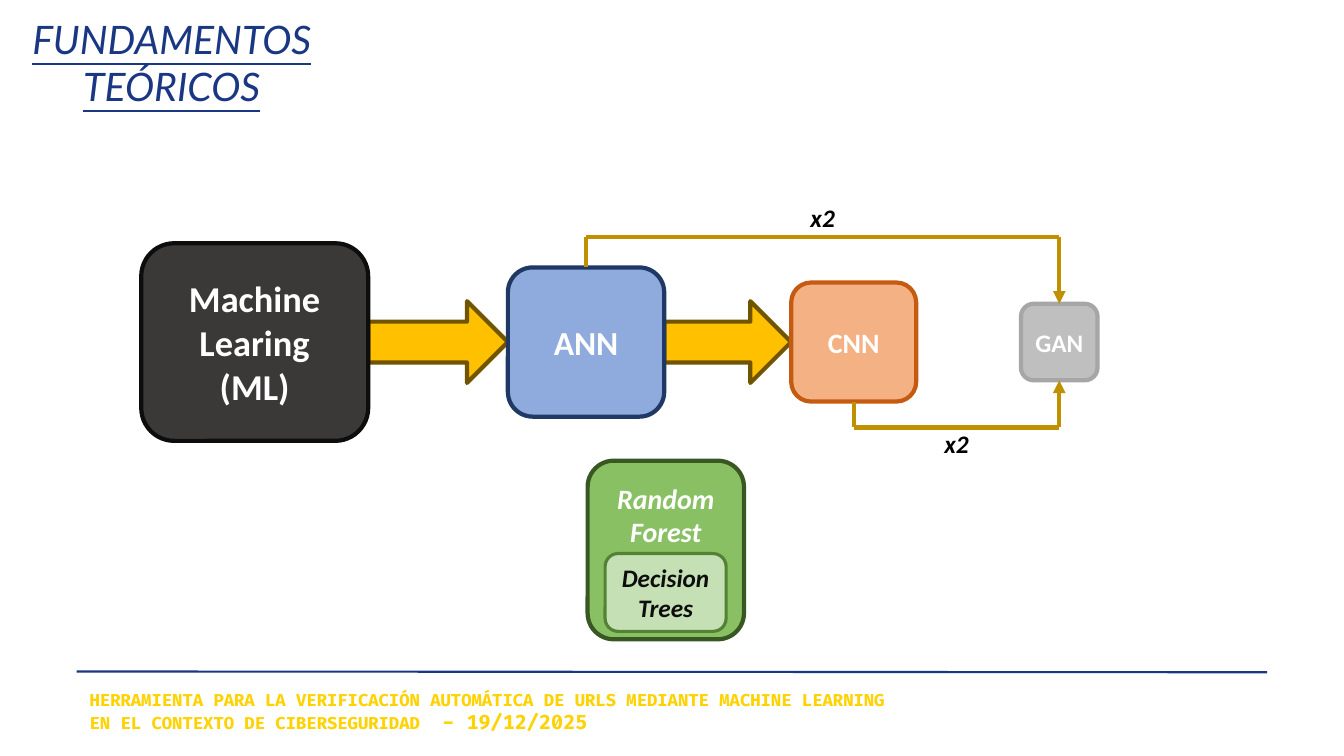
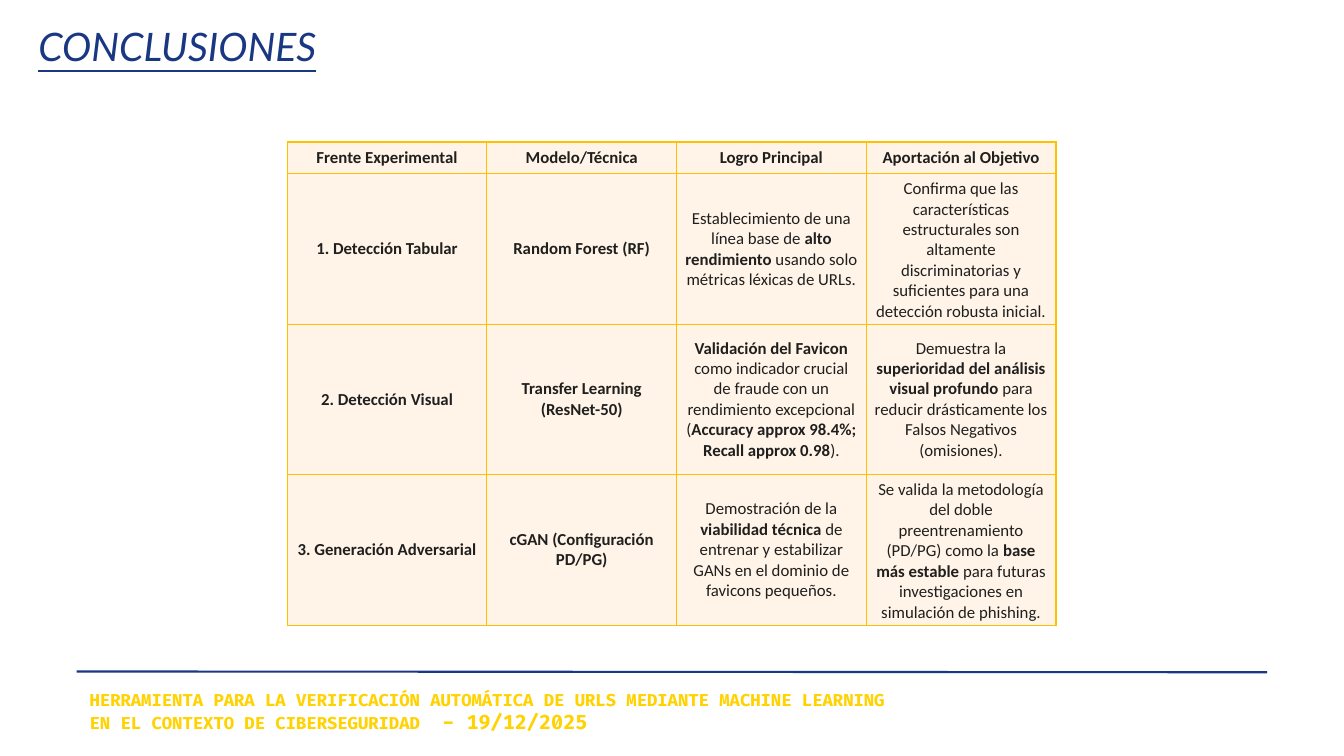
"""Build the theory diagram and the conclusions table."""
from dataclasses import dataclass

from pptx import Presentation
from pptx import util as u
from pptx.dml.color import RGBColor
from pptx.enum import shapes, text
from pptx.oxml import parse_xml
from pptx.oxml.ns import nsdecls


@dataclass(frozen=True)
class Theme:
    """Colours, fonts and type sizes shared by the slides."""
    navy: str = "193782"
    footer: str = "FFD200"
    gold: str = "FFC000"
    arrow_edge: str = "705400"
    loop: str = "BF9000"
    cell: str = "FFF4E7"
    ink: str = "1F1F1F"
    black: str = "000000"
    dark: str = "0D0D0D"
    white: str = "FFFFFF"
    title_font: str = "Lato"
    footer_font: str = "Fira Code"
    body_font: str = "Calibri"
    title_size: int = 28
    large_size: int = 26
    block_size: int = 24
    medium_size: int = 20
    label_size: int = 18
    date_size: int = 14
    small_size: int = 12
    heavy: float = 3
    medium: float = 2.25
    rule: float = 1.5


THEME = Theme()
TOP, BOTTOM = 0, 2

CONCLUSIONS = [
    ["*Frente Experimental*", "*Modelo/Técnica*", "*Logro Principal*", "*Aportación al Objetivo*"],
    ["*1. Detección Tabular*", "*Random Forest (RF)*",
     "Establecimiento de una línea base de *alto rendimiento* usando solo métricas léxicas de URLs.",
     "Confirma que las características estructurales son altamente discriminatorias y suficientes "
     "para una detección robusta inicial."],
    ["*2. Detección Visual*", "*Transfer Learning (ResNet-50)*",
     "*Validación del Favicon* como indicador crucial de fraude con un rendimiento excepcional "
     "(*Accuracy approx 98.4%; Recall approx 0.98*).",
     "Demuestra la *superioridad del análisis visual profundo* para reducir drásticamente los "
     "Falsos Negativos (omisiones)."],
    ["*3. Generación Adversarial*", "*cGAN (Configuración PD/PG)*",
     "Demostración de la *viabilidad técnica* de entrenar y estabilizar GANs en el dominio de "
     "favicons pequeños.",
     "Se valida la metodología del doble preentrenamiento (PD/PG) como la *base más estable* para "
     "futuras investigaciones en simulación de phishing."],
]


def rgb(color):
    """Turn a hex string into a colour."""
    return RGBColor.from_string(color)


def add_run(paragraph, words, size, color, font=THEME.body_font, bold=False, italic=False,
            underline=False):
    """Add one formatted run."""
    run = paragraph.add_run()
    run.text = words
    run.font.size, run.font.name = u.Pt(size), font
    run.font.bold, run.font.italic, run.font.underline = bold, italic, underline
    run.font.color.rgb = rgb(color)


def add_text(slide, left, top, width, height, align=text.PP_ALIGN.CENTER):
    """Add a wrapping text box and return its first paragraph."""
    box = slide.shapes.add_textbox(u.Cm(left), u.Cm(top), u.Cm(width), u.Cm(height))
    box.text_frame.word_wrap = True
    paragraph = box.text_frame.paragraphs[0]
    paragraph.alignment = align
    return paragraph


def add_figure(slide, kind, left, top, width, height, fill, edge, weight=THEME.heavy):
    """Add a filled and outlined preset shape."""
    figure = slide.shapes.add_shape(kind, u.Cm(left), u.Cm(top), u.Cm(width), u.Cm(height))
    figure.shadow.inherit = False
    figure.fill.solid()
    figure.fill.fore_color.rgb = rgb(fill)
    figure.line.color.rgb = rgb(edge)
    figure.line.width = u.Pt(weight)
    return figure


def add_block(slide, left, top, width, height, fill, edge, lines, size, color=THEME.white,
              italic=False, weight=THEME.heavy, head_gap=None):
    """Add a rounded block with its centred bold label."""
    block = add_figure(slide, shapes.MSO_SHAPE.ROUNDED_RECTANGLE, left, top, width, height,
                       fill, edge, weight)
    frame = block.text_frame
    frame.word_wrap = True
    frame.margin_left = frame.margin_right = frame.margin_bottom = 0
    frame.margin_top = u.Cm(head_gap or 0)
    frame.vertical_anchor = text.MSO_ANCHOR.TOP if head_gap else text.MSO_ANCHOR.MIDDLE
    for index, words in enumerate(lines):
        paragraph = frame.add_paragraph() if index else frame.paragraphs[0]
        paragraph.alignment = text.PP_ALIGN.CENTER
        add_run(paragraph, words, size, color, bold=True, italic=italic)
    return block


def add_line(slide, start, end, color, weight, arrow=False):
    """Add a straight line between two points, with an optional arrowhead."""
    line = slide.shapes.add_connector(shapes.MSO_CONNECTOR.STRAIGHT,
                                      *(u.Cm(value) for value in (*start, *end)))
    line.line.color.rgb = rgb(color)
    line.line.width = u.Pt(weight)
    if arrow:
        line.line._get_or_add_ln().append(
            parse_xml(f'<a:tailEnd {nsdecls("a")} type="triangle"/>'))
    line._element.spPr.append(parse_xml(f'<a:effectLst {nsdecls("a")}/>'))
    return line


def add_loop(slide, source, target, side, level, label_top):
    """Join two blocks by a squared arrow at the given level, labelled x2."""
    start, end = ((block.left + block.width / 2) / u.Cm(1) for block in (source, target))
    edges = [(block.top + (block.height if side == BOTTOM else 0)) / u.Cm(1)
             for block in (source, target)]
    rise = add_line(slide, (start, edges[0]), (start, level), THEME.loop, THEME.heavy)
    rise.begin_connect(source, side)
    add_line(slide, (start, level), (end, level), THEME.loop, THEME.heavy)
    drop = add_line(slide, (end, level), (end, edges[1]), THEME.loop, THEME.heavy, arrow=True)
    drop.end_connect(target, side)
    label = add_text(slide, (start + end) / 2 - 0.65, label_top, 1.3, 1.02)
    add_run(label, "x2", THEME.label_size, THEME.black, bold=True, italic=True)


def add_network_chain(slide, left, top):
    """Draw the chain of models from machine learning to GAN."""
    axis = top + 3.64
    stages = [
        (0, 5.72, 4.98, "3B3838", THEME.dark, ["Machine Learing", "(ML)"], THEME.large_size),
        (9.24, 3.94, 3.76, "8FAADC", "203864", ["ANN"], THEME.block_size),
        (16.38, 3.15, 3, "F4B183", "C55A11", ["CNN"], THEME.medium_size),
        (22.17, 1.93, 1.93, "BFBFBF", "A6A6A6", ["GAN"], THEME.label_size),
    ]
    for (offset, width, *_), (following, *_) in zip(stages[:2], stages[1:]):
        add_figure(slide, shapes.MSO_SHAPE.RIGHT_ARROW, left + offset + width, axis - 1.03,
                   following - offset - width, 2.06, THEME.gold, THEME.arrow_edge)
    _, ann, cnn, gan = [
        add_block(slide, left + offset, axis - height / 2, width, height, *style)
        for offset, width, height, *style in stages]
    add_loop(slide, ann, gan, TOP, top + 0.99, top)
    add_loop(slide, cnn, gan, BOTTOM, top + 5.79, top + 5.69)


def add_forest(slide, left, top):
    """Draw the random forest block with its decision trees inside."""
    add_block(slide, left, top, 3.94, 4.5, "89C064", "385723", ["Random Forest"],
              THEME.medium_size, italic=True, head_gap=0.32)
    add_block(slide, left + 0.44, top + 2.34, 3.05, 1.96, "C5E0B4", "548235",
              ["Decision Trees"], THEME.label_size, THEME.dark, italic=True,
              weight=THEME.medium)


def add_cell_borders(cell):
    """Outline a cell with thin gold lines."""
    properties = cell._tc.get_or_add_tcPr()
    for index, side in enumerate(("lnL", "lnR", "lnT", "lnB")):
        properties.insert(index, parse_xml(
            f'<a:{side} {nsdecls("a")} w="12700"><a:solidFill>'
            f'<a:srgbClr val="{THEME.gold}"/></a:solidFill></a:{side}>'))


def add_conclusions_table(slide, left, top, widths, heights):
    """Fill the table of conclusions; asterisks enclose bold words."""
    frame = slide.shapes.add_table(len(heights), len(widths), u.Cm(left), u.Cm(top),
                                   u.Cm(sum(widths)), u.Cm(sum(heights)))
    table = frame.table
    table.first_row = table.horz_banding = False
    for column, width in zip(table.columns, widths):
        column.width = u.Cm(width)
    for row, height, entries in zip(table.rows, heights, CONCLUSIONS):
        row.height = u.Cm(height)
        for cell, entry in zip(row.cells, entries):
            cell.fill.solid()
            cell.fill.fore_color.rgb = rgb(THEME.cell)
            cell.margin_left = cell.margin_right = u.Cm(0.19)
            cell.margin_top = cell.margin_bottom = u.Cm(0.13)
            cell.vertical_anchor = text.MSO_ANCHOR.MIDDLE
            add_cell_borders(cell)
            paragraph = cell.text_frame.paragraphs[0]
            paragraph.alignment = text.PP_ALIGN.CENTER
            for index, words in enumerate(entry.split("*")):
                if words:
                    add_run(paragraph, words, THEME.small_size, THEME.ink, bold=index % 2 == 1)


def add_footer(slide, left, top):
    """Draw the footer rule, project name and date."""
    add_line(slide, (left, top), (left + 30, top + 0.02), THEME.navy, THEME.rule)
    footer = add_text(slide, left + 0.08, top + 0.33, 20.83, 1.37, text.PP_ALIGN.LEFT)
    for words, size in (
            ("HERRAMIENTA PARA LA VERIFICACIÓN AUTOMÁTICA DE URLS MEDIANTE MACHINE LEARNING "
             "EN EL CONTEXTO DE CIBERSEGURIDAD", THEME.small_size),
            ("\t- 19/12/2025", THEME.date_size)):
        add_run(footer, words, size, THEME.footer, THEME.footer_font, bold=True)


def start_slide(deck, title, top, width, height):
    """Add a blank slide with its title and footer."""
    slide = deck.slides.add_slide(deck.slide_layouts[6])
    add_footer(slide, 1.93, 16.92)
    heading = add_text(slide, 0, top, width, height)
    add_run(heading, title, THEME.title_size, THEME.navy, THEME.title_font, italic=True,
            underline=True)
    return slide


def build_theory(deck):
    """Build the slide of theoretical foundations."""
    slide = start_slide(deck, "FUNDAMENTOS TEÓRICOS", 0.25, 8.66, 2.64)
    add_network_chain(slide, 3.56, 4.98)
    add_forest(slide, 14.81, 11.61)


def build_conclusions(deck):
    """Build the slide of conclusions."""
    slide = start_slide(deck, "CONCLUSIONES", 0.43, 8.94, 1.45)
    add_conclusions_table(slide, 7.24, 3.58, [5.03] + [4.78] * 3, [0.79] + [3.76] * 3)


def main():
    """Build and save the deck."""
    deck = Presentation()
    deck.slide_width, deck.slide_height = u.Cm(33.87), u.Cm(19.05)
    build_theory(deck)
    build_conclusions(deck)
    deck.save("out.pptx")


if __name__ == "__main__":
    main()
